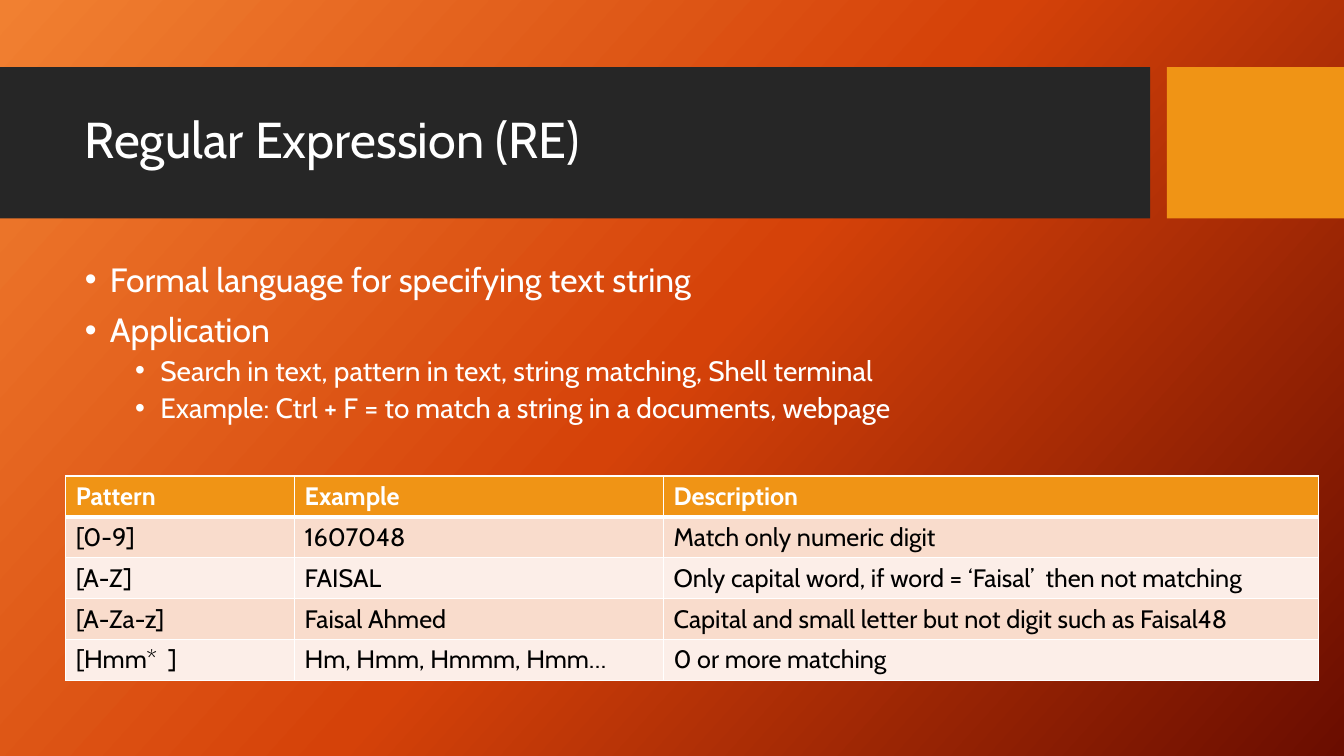
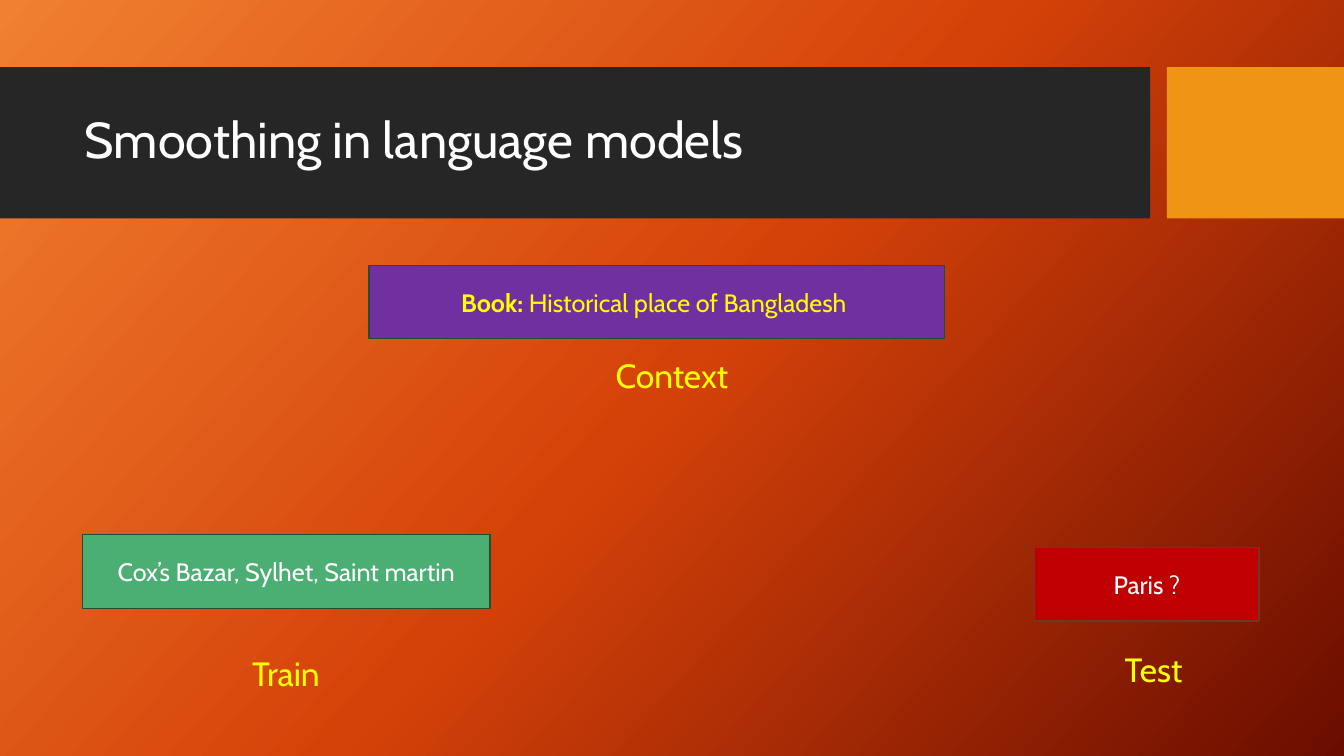
"""Build two slides on regular expressions and smoothing in language models."""
import copy

import pptx
import pptx.dml.color
import pptx.enum.shapes
import pptx.enum.text
import pptx.oxml
import pptx.oxml.ns
import pptx.util

Pt = pptx.util.Pt
RGBColor = pptx.dml.color.RGBColor
qn = pptx.oxml.ns.qn
MIDDLE = pptx.enum.text.MSO_ANCHOR.MIDDLE
CENTER = pptx.enum.text.PP_ALIGN.CENTER
RECTANGLE = pptx.enum.shapes.MSO_SHAPE.RECTANGLE

FONT = "Cabin"
COLORS = {
    "white": "FFFFFF", "black": "000000", "yellow": "FFFF00",
    "band": "262626", "accent": "F09415",
    "light": "F18031", "orange": "D54209", "dark": "6A0D00",
    "odd row": "F9DCCC", "even row": "FCEEE8",
    "green": "4BAF73", "red": "C00000", "purple": "7030A0",
    "green line": "214D32", "red line": "6E3728",
}


def add_rectangle(slide, box, fill, line=None):
    shape = slide.shapes.add_shape(RECTANGLE, *map(Pt, box))
    shape.shadow.inherit = False
    shape.fill.solid()
    shape.fill.fore_color.rgb = RGBColor.from_string(COLORS[fill])
    if line:
        shape.line.color.rgb = RGBColor.from_string(COLORS[line])
        shape.line.width = Pt(1)
    else:
        shape.line.fill.background()
    return shape


def style(paragraph, size, color, bold=None):
    paragraph.font.name = FONT
    paragraph.font.size = Pt(size)
    paragraph.font.bold = bold
    paragraph.font.color.rgb = RGBColor.from_string(COLORS[color])


presentation = pptx.Presentation()
presentation.slide_width = Pt(960)
presentation.slide_height = Pt(540)

background = presentation.slide_master.background.fill
background.gradient()
background.gradient_angle = 360 - 42
first_stop = presentation.slide_master.element.find(".//" + qn("a:gs"))
first_stop.addnext(copy.deepcopy(first_stop))
gradient = zip(background.gradient_stops, (0, 0.5, 1), ("light", "orange", "dark"))
for stop, position, color in gradient:
    stop.position = position
    stop.color.rgb = RGBColor.from_string(COLORS[color])

slides = []
for title in ("Regular Expression (RE)", "Smoothing in language models"):
    slide = presentation.slides.add_slide(presentation.slide_layouts[6])
    add_rectangle(slide, (0, 48, 821.5, 108), "band")
    add_rectangle(slide, (833.5, 48, 126.5, 108), "accent")
    title_box = slide.shapes.add_textbox(Pt(53.5), Pt(59), Pt(756.5), Pt(85))
    title_box.text_frame.word_wrap = True
    title_box.text_frame.vertical_anchor = MIDDLE
    paragraph = title_box.text_frame.paragraphs[0]
    paragraph.text = title
    paragraph.line_spacing = 0.9
    style(paragraph, 36, "white")
    slides.append(slide)
expression_slide, smoothing_slide = slides

body = expression_slide.shapes.add_textbox(Pt(53.5), Pt(184.5), Pt(756.5), Pt(140))
body.text_frame.word_wrap = True
bullets = [
    (0, "Formal language for specifying text string"),
    (0, "Application"),
    (1, "Search in text, pattern in text, string matching, Shell terminal"),
    (1, "Example: Ctrl + F = to match a string in a documents, webpage"),
]
for index, (level, text) in enumerate(bullets):
    paragraph = body.text_frame.add_paragraph() if index else body.text_frame.paragraphs[0]
    paragraph.text = text
    paragraph.level = level
    paragraph.line_spacing = 0.9
    paragraph.space_before = Pt(5 if level else 10)
    properties = paragraph._p.get_or_add_pPr()
    properties.set("marL", str(Pt(18 + 36 * level)))
    properties.set("indent", str(Pt(-18)))
    font = pptx.oxml.parse_xml(f'<a:buFont {pptx.oxml.ns.nsdecls("a")} typeface="Arial"/>')
    bullet = pptx.oxml.parse_xml(f'<a:buChar {pptx.oxml.ns.nsdecls("a")} char="•"/>')
    properties.extend([font, bullet])
    style(paragraph, 20 if level else 24, "white")

patterns = [
    ("Pattern", "Example", "Description"),
    ("[0-9]", "1607048", "Match only numeric digit"),
    ("[A-Z]", "FAISAL", "Only capital word, if word = ‘Faisal’  then not matching"),
    ("[A-Za-z]", "Faisal Ahmed", "Capital and small letter but not digit such as Faisal48"),
    ("[Hmm*  ]", "Hm, Hmm, Hmmm, Hmm…", "0 or more matching"),
]
column_widths = (163.5, 263.5, 468)
row_height = 29.2
table = expression_slide.shapes.add_table(
    len(patterns), len(column_widths), Pt(47), Pt(340),
    Pt(sum(column_widths)), Pt(row_height * len(patterns))).table
for column, width in zip(table.columns, column_widths):
    column.width = Pt(width)
for row_index, row in enumerate(patterns):
    header = row_index == 0
    fill = "accent" if header else "odd row" if row_index % 2 else "even row"
    for column_index, text in enumerate(row):
        cell = table.cell(row_index, column_index)
        paragraph = cell.text_frame.paragraphs[0]
        paragraph.text = text
        style(paragraph, 18, "white" if header else "black", header)
        for side in "LRTB":
            thick = (header and side == "B") or (row_index == 1 and side == "T")
            cell._tc.get_or_add_tcPr().append(pptx.oxml.parse_xml(
                f'<a:ln{side} {pptx.oxml.ns.nsdecls("a")} w="{Pt(3 if thick else 1)}">'
                f'<a:solidFill><a:srgbClr val="{COLORS["white"]}"/></a:solidFill>'
                f'</a:ln{side}>'))
        cell.fill.solid()
        cell.fill.fore_color.rgb = RGBColor.from_string(COLORS[fill])

labels = [
    ("Context", (430, 253.5, 100, 33)),
    ("Train", (170, 466, 68.5, 33)),
    ("Test", (795, 463, 58, 33)),
]
for text, box in labels:
    label = smoothing_slide.shapes.add_textbox(*map(Pt, box))
    label.text_frame.word_wrap = False
    paragraph = label.text_frame.paragraphs[0]
    paragraph.text = text
    paragraph.alignment = CENTER
    paragraph.line_spacing = 0.9
    style(paragraph, 24, "yellow")

examples = [
    ("", "Cox’s Bazar, Sylhet, Saint martin", (59, 382, 291, 52.5), "green", "green line", "white"),
    ("", "Paris ?", (739, 391, 160.5, 52.5), "red", "red line", "white"),
    ("Book:", " Historical place of Bangladesh ", (263.5, 189.5, 411, 52.5),
     "purple", "green line", "yellow"),
]
for heading, text, box, fill, line, color in examples:
    shape = add_rectangle(smoothing_slide, box, fill, line)
    shape.text_frame.word_wrap = True
    shape.text_frame.vertical_anchor = MIDDLE
    paragraph = shape.text_frame.paragraphs[0]
    paragraph.alignment = CENTER
    style(paragraph, 18, color)
    if heading:
        run = paragraph.add_run()
        run.text = heading
        run.font.bold = True
    paragraph.add_run().text = text

presentation.save("out.pptx")
